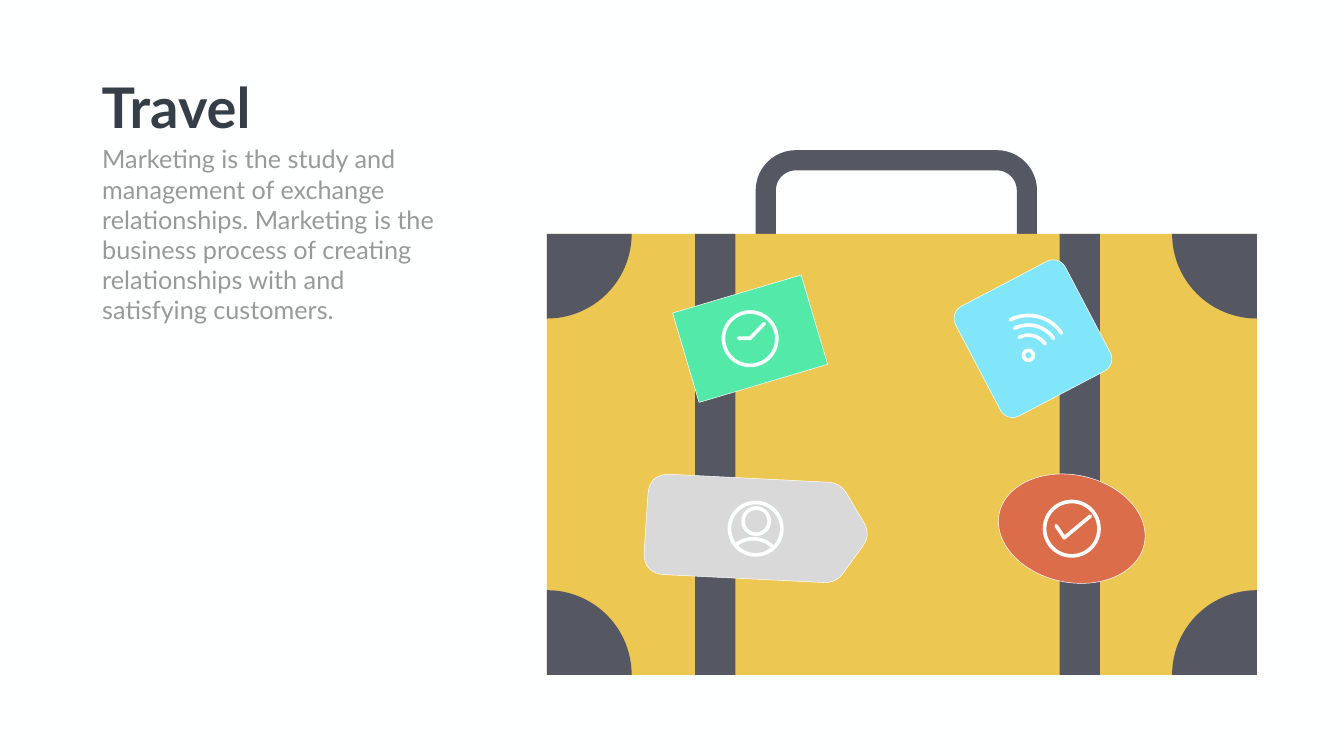
from math import cos, dist, radians, sin

from pptx import Presentation
from pptx.dml.color import RGBColor
from pptx.enum.shapes import MSO_SHAPE
from pptx.oxml.ns import qn
from pptx.util import Inches, Pt

# The slide is a grid of square cells; lengths below are columns and rows.
CELL = Inches(1)
COLS, ROWS = 26.66, 15

WHITE = RGBColor(0xFE, 0xFF, 0xFF)
DARK = RGBColor(0x55, 0x57, 0x63)
YELLOW = RGBColor(0xEC, 0xC7, 0x52)
GREEN = RGBColor(0x53, 0xEA, 0xA9)
BLUE = RGBColor(0x82, 0xE6, 0xFB)
RED = RGBColor(0xDB, 0x6D, 0x4B)
SILVER = RGBColor(0xD9, 0xD9, 0xD9)
INK = RGBColor(0x36, 0x3E, 0x48)
GREY = RGBColor(0x99, 0x99, 0x99)

THIN = Pt(0.75)
STROKE = Pt(5.2)
LEFT, TOP, WIDE, HIGH = 10.85, 4.64, 14.08, 8.75
STRAP, CORNER = 0.8, 1.68
BODY = ("Marketing is the study and management of exchange relationships. "
        "Marketing is the business process of creating relationships with "
        "and satisfying customers.")


def grid(count):
    return round(count * CELL)


def paint(shape, fill=None, line=None, width=THIN):
    shape.shadow.inherit = False
    if fill is None:
        shape.fill.background()
    else:
        shape.fill.solid()
        shape.fill.fore_color.rgb = fill
    if line is None:
        shape.line.fill.background()
    else:
        shape.line.color.rgb = line
        shape.line.width = width
    return shape


def add_form(shapes, kind, mid, size, turn=0, bend=None, **look):
    """Add a preset shape around its middle, turned by degrees."""
    left, top = (m - s / 2 for m, s in zip(mid, size))
    shape = shapes.add_shape(kind, *map(grid, (left, top, *size)))
    shape.rotation = turn
    if bend is not None:
        shape.adjustments[0] = bend
    return paint(shape, **look)


def add_block(shapes, left, top, width, height, fill):
    mid = left + width / 2, top + height / 2
    return add_form(shapes, MSO_SHAPE.RECTANGLE, mid, (width, height), fill=fill)


def add_ring(shapes, mid, radius):
    return add_form(shapes, MSO_SHAPE.OVAL, mid, (2 * radius, 2 * radius),
                    line=WHITE, width=STROKE)


def add_path(shapes, points, close=True, **look):
    start, *rest = [(grid(x), grid(y)) for x, y in points]
    pen = shapes.build_freeform(*start)
    pen.add_line_segments(rest, close=close)
    return paint(pen.convert_to_shape(), **look)


def add_stroke(shapes, points):
    """Add an open white line with round ends."""
    shape = add_path(shapes, points, close=False, line=WHITE, width=STROKE)
    shape.element.spPr.find(qn("a:ln")).set("cap", "rnd")


def arc(mid, radius, start, end, steps=24):
    turns = (radians(start + (end - start) * i / steps) for i in range(steps + 1))
    return [(mid[0] + radius * cos(t), mid[1] + radius * sin(t)) for t in turns]


def soften(points, cuts, steps=10):
    """Round each corner, starting the curve at its cut length."""
    curve = []
    for i, (point, cut) in enumerate(zip(points, cuts)):
        ends = []
        for other in (points[i - 1], points[(i + 1) % len(points)]):
            part = cut / dist(point, other)
            ends.append([p + (o - p) * part for p, o in zip(point, other)])
        for step in range(steps + 1):
            t = step / steps
            curve.append(tuple((1 - t) ** 2 * a + 2 * t * (1 - t) * p + t * t * b
                               for a, p, b in zip(ends[0], point, ends[1])))
    return curve


def add_text(shapes, box, text, size, color, bold=False, wrap=True):
    frame = shapes.add_textbox(*map(grid, box)).text_frame
    frame.word_wrap = wrap
    frame.text = text
    font = frame.paragraphs[0].runs[0].font
    font.name, font.size, font.bold = "Lato", Pt(size), bold
    font.color.rgb = color


def draw_case(shapes):
    add_form(shapes, MSO_SHAPE.ROUNDED_RECTANGLE, (17.78, 4.21), (5.18, 2.06),
             bend=0.29, line=DARK, width=grid(0.4))
    add_block(shapes, LEFT, TOP, WIDE, HIGH, YELLOW)
    for left in (13.79, 21.02):
        add_block(shapes, left, TOP, STRAP, HIGH, DARK)
    right, base = LEFT + WIDE, TOP + HIGH
    tips = (LEFT, TOP), (right, TOP), (right, base), (LEFT, base)
    for i, tip in enumerate(tips):
        edge = arc(tip, CORNER, 90 * i, 90 * (i + 1))
        add_path(shapes, [tip, *edge], fill=DARK)


def draw_clock(shapes):
    mid = 14.88, 6.72
    add_form(shapes, MSO_SHAPE.RECTANGLE, mid, (2.66, 1.85), -16.5,
             fill=GREEN, line=WHITE)
    add_ring(shapes, mid, 0.53)
    add_stroke(shapes, [(14.65, 6.71), (14.88, 6.71), (15.16, 6.42)])


def draw_signal(shapes):
    add_form(shapes, MSO_SHAPE.ROUNDED_RECTANGLE, (20.49, 6.72), (2.46, 2.46),
             -27.7, 0.11, fill=BLUE, line=WHITE)
    mid = 20.4, 7.05
    for radius in (0.4, 0.6, 0.79):
        add_stroke(shapes, arc(mid, radius, -117, -34))
    add_ring(shapes, mid, 0.1)


def draw_user(shapes):
    tag = [(12.88, 9.39), (16.67, 9.58), (17.28, 10.61),
           (16.58, 11.57), (12.75, 11.38)]
    add_path(shapes, soften(tag, (0.43, 0.25, 0.29, 0.24, 0.45)),
             fill=SILVER, line=WHITE)
    add_ring(shapes, (14.99, 10.49), 0.52)
    add_ring(shapes, (15, 10.34), 0.26)
    add_stroke(shapes, arc((14.94, 11.24), 0.55, -126, -48))


def draw_check(shapes):
    mid = 21.26, 10.49
    add_form(shapes, MSO_SHAPE.OVAL, mid, (2.94, 2.13), 12, fill=RED, line=WHITE)
    add_ring(shapes, mid, 0.54)
    add_stroke(shapes, [(20.95, 10.43), (21.11, 10.67), (21.63, 10.24)])


def main():
    deck = Presentation()
    deck.slide_width, deck.slide_height = grid(COLS), grid(ROWS)
    slide = deck.slides.add_slide(deck.slide_layouts[6])
    slide.background.fill.solid()
    slide.background.fill.fore_color.rgb = WHITE
    for draw in (draw_case, draw_clock, draw_check, draw_signal, draw_user):
        draw(slide.shapes)
    add_text(slide.shapes, (1.92, 1.38, 3.36, 1.45), "Travel", 80, INK,
             bold=True, wrap=False)
    add_text(slide.shapes, (1.93, 2.8, 6.86, 3.74), BODY, 36, GREY)
    deck.save("out.pptx")


if __name__ == "__main__":
    main()
